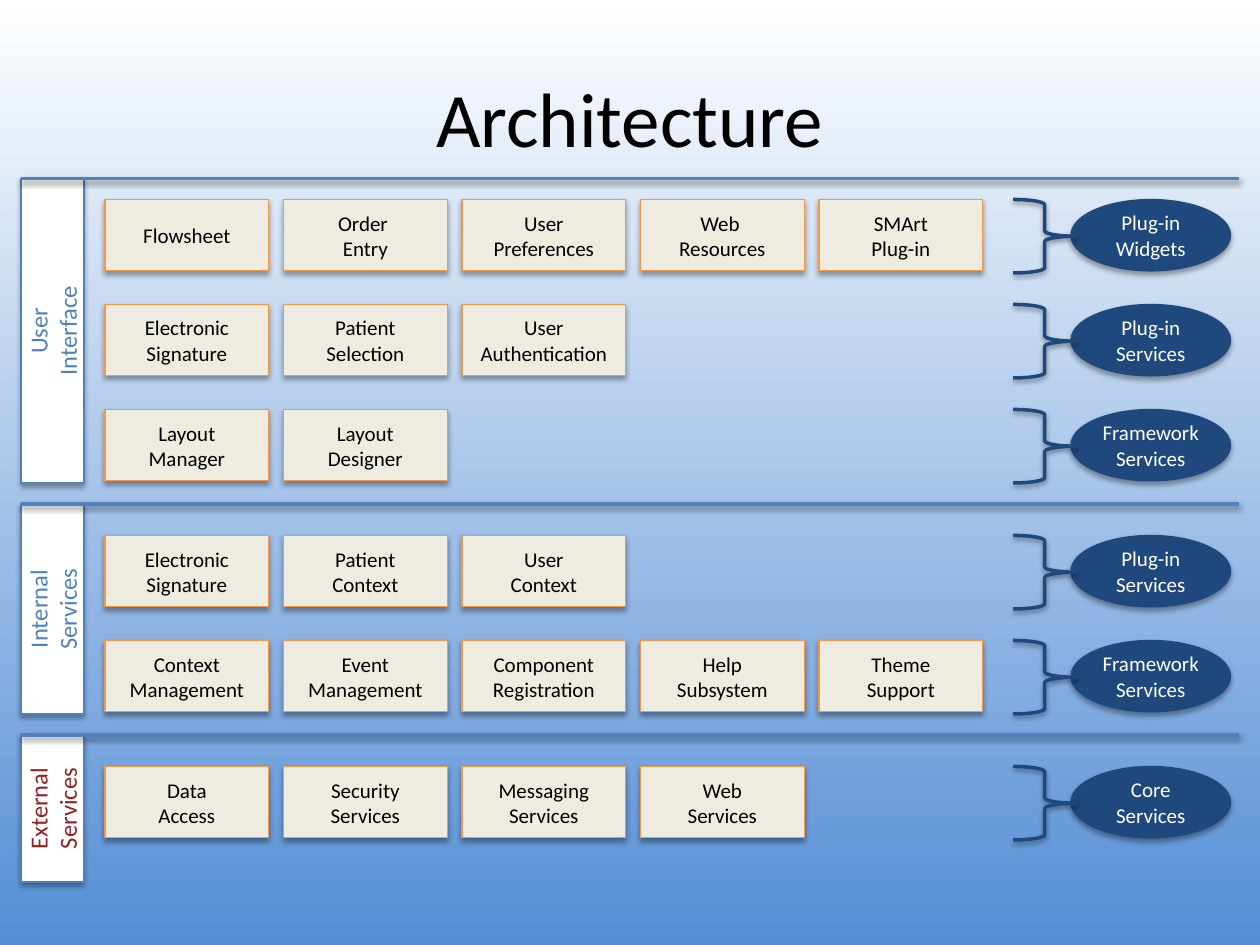
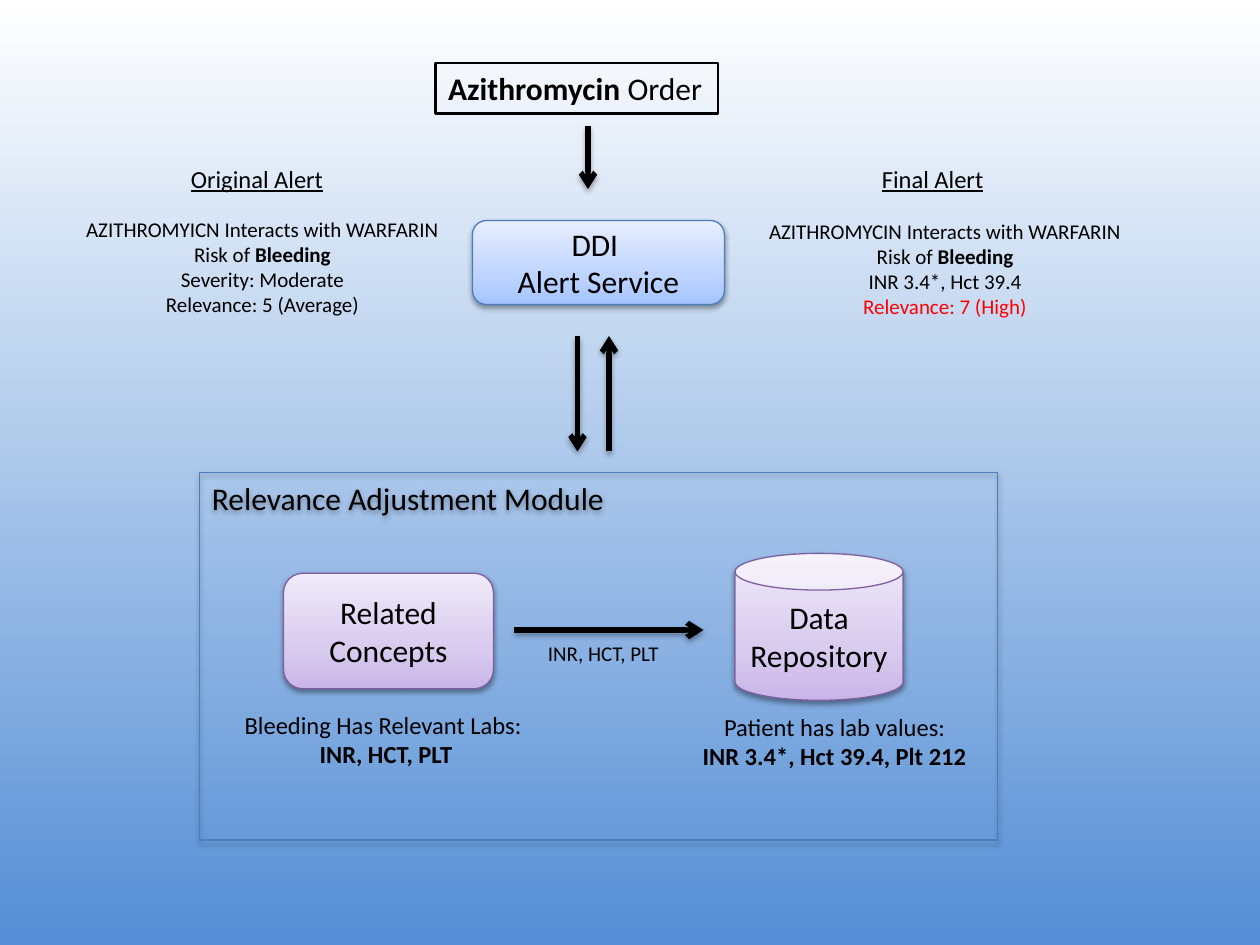
from copy import deepcopy

from lxml import etree
from pptx import Presentation, util as u
from pptx.dml.color import RGBColor
from pptx.enum import shapes, text
from pptx.oxml import ns

WHITE = RGBColor(0xFF, 0xFF, 0xFF)
BLACK = RGBColor(0, 0, 0)
RED = RGBColor(0xFF, 0, 0)
BRICK = RGBColor(0x92, 0x21, 0x22)
SKY = RGBColor(0x55, 0x8E, 0xD5)
BLUE = RGBColor(0x4F, 0x81, 0xBD)
STEEL = RGBColor(0x4B, 0x7E, 0xBC)
NAVY = RGBColor(0x1F, 0x49, 0x7D)
CREAM = RGBColor(0xEE, 0xEC, 0xE1)
ORANGE = RGBColor(0xF7, 0x96, 0x46)
PLUM = RGBColor(0x7D, 0x60, 0xA0)
PAGE = [(0, WHITE), (1, SKY)]
ICE = [(0, RGBColor(0xA4, 0xC4, 0xFF)), (0.35, RGBColor(0xBF, 0xD4, 0xFF)),
       (1, RGBColor(0xE6, 0xEE, 0xFF))]
LILAC = [(0, RGBColor(0xC9, 0xB5, 0xE8)), (0.35, RGBColor(0xD8, 0xCB, 0xEE)),
         (1, RGBColor(0xF0, 0xEA, 0xF9))]

KIND = shapes.MSO_SHAPE
CENTER, LEFT = text.PP_ALIGN.CENTER, text.PP_ALIGN.LEFT
MIDDLE, TOP = text.MSO_ANCHOR.MIDDLE, text.MSO_ANCHOR.TOP
COLS, ROWS = 120, 90
DARK, SOFT = (38, 1.6), (35, 1.8)

BANDS = [
    ("User\nInterface", BLUE, 17, 29, [
        (19, "Plug-in\nWidgets", ["Flowsheet", "Order \nEntry", "User Preferences",
                                  "Web \nResources", "SMArt\nPlug-in"]),
        (29, "Plug-in\nServices", ["Electronic\nSignature", "Patient\nSelection",
                                   "User\nAuthentication"]),
        (39, "Framework\nServices", ["Layout\nManager", "Layout\nDesigner"])]),
    ("Internal\nServices", BLUE, 48, 20, [
        (51, "Plug-in\nServices", ["Electronic\nSignature", "Patient\nContext",
                                   "User\nContext"]),
        (61, "Framework\nServices", ["Context\nManagement", "Event\nManagement",
                                     "Component\nRegistration", "Help\nSubsystem",
                                     "Theme\nSupport"])]),
    ("External\nServices", BRICK, 70, 14, [
        (73, "Core\nServices", ["Data\nAccess", "Security\nServices",
                                "Messaging\nServices", "Web\nServices"])]),
]


class Deck:
    """Draws styled elements on a grid of 120 columns and 90 rows."""

    def __init__(self):
        self.prs = Presentation()
        self.prs.slide_width, self.prs.slide_height = u.Inches(10), u.Inches(7.5)
        self.slide = None

    def grid(self, *vals):
        units = self.prs.slide_width / COLS, self.prs.slide_height / ROWS
        return [round(val * units[i % 2]) for i, val in enumerate(vals)]

    def page(self):
        self.slide = self.prs.slides.add_slide(self.prs.slide_layouts[6])
        self.blend(self.slide.background.fill, self.slide.element, PAGE, 270)

    def blend(self, fill, root, stops, angle):
        fill.gradient()
        fill.gradient_angle = angle
        marks = next(root.iter(ns.qn("a:gsLst")))
        while len(marks) < len(stops):
            marks.append(deepcopy(marks[0]))
        for mark, (share, color) in zip(fill.gradient_stops, stops):
            mark.position, mark.color.rgb = share, color

    def shade(self, item, look):
        effect = etree.SubElement(item.element.spPr, ns.qn("a:effectLst"))
        if look:
            alpha, dist = look
            cast = etree.SubElement(effect, ns.qn("a:outerShdw"), blurRad=str(u.Pt(3.1)),
                                    dist=str(u.Pt(dist)), dir="5400000", rotWithShape="0")
            tone = etree.SubElement(cast, ns.qn("a:srgbClr"), val=str(BLACK))
            etree.SubElement(tone, ns.qn("a:alpha"), val=str(alpha * 1000))

    def label(self, item, words, size, color=BLACK, align=CENTER, anchor=MIDDLE,
              wrap=True, grow=False, line=False):
        frame = item.text_frame
        frame.word_wrap, frame.vertical_anchor = wrap, anchor
        if grow:
            frame.auto_size = text.MSO_AUTO_SIZE.SHAPE_TO_FIT_TEXT
        for i, row in enumerate(words.split("\n")):
            para = frame.add_paragraph() if i else frame.paragraphs[0]
            para.alignment = align
            for j, part in enumerate(row.split("|")):
                if part:
                    run = para.add_run()
                    run.text = part
                    font = run.font
                    font.name, font.size, font.color.rgb = "Calibri", u.Pt(size), color
                    font.bold, font.underline = j % 2 == 1, line

    def shape(self, kind, box, fill, edge, width=0.75, look=SOFT):
        item = self.slide.shapes.add_shape(kind, *self.grid(*box))
        if fill is None:
            item.fill.background()
        elif isinstance(fill, list):
            self.blend(item.fill, item.element, fill, 90)
        else:
            item.fill.solid()
            item.fill.fore_color.rgb = fill
        item.line.color.rgb, item.line.width = edge, u.Pt(width)
        self.shade(item, look)
        return item

    def note(self, box, words, size, **style):
        item = self.slide.shapes.add_textbox(*self.grid(*box))
        self.label(item, words, size, **style)
        return item

    def rule(self, ends, color, width, look, head=False):
        item = self.slide.shapes.add_connector(shapes.MSO_CONNECTOR.STRAIGHT,
                                               *self.grid(*ends))
        item.line.color.rgb, item.line.width = color, u.Pt(width)
        if head:
            edge = next(item.element.iter(ns.qn("a:ln")))
            etree.SubElement(edge, ns.qn("a:tailEnd"), type="arrow")
        self.shade(item, look)

    def side(self, top, high, words, color):
        item = self.shape(KIND.RECTANGLE, (2, top, 6, high), WHITE, BLUE)
        self.label(item, words, 14, color)
        next(item.element.iter(ns.qn("a:bodyPr"))).set("vert", "vert270")
        self.rule((2, top, 118, top), BLUE, 2, DARK)

    def tier(self, top, group, cards):
        for i, words in enumerate(cards):
            card = self.shape(KIND.RECTANGLE, (10 + 17 * i, top, 15.6, 6.8), CREAM, ORANGE)
            self.label(card, words, 12)
        oval = self.shape(KIND.OVAL, (102, top, 15.2, 6.8), NAVY, NAVY)
        self.label(oval, group, 12, WHITE, wrap=False)
        self.shape(KIND.RIGHT_BRACE, (96.5, top, 6, 7), None, NAVY, 2, DARK)

    def node(self, kind, box, fill, edge, words):
        self.label(self.shape(kind, box, fill, edge, look=DARK), words, 18)


def layers(deck):
    """Draws the architecture bands."""
    deck.page()
    deck.note((6, 3.6, 108, 15), "Architecture", 44)
    for words, color, top, high, tiers in BANDS:
        deck.side(top, high, words, color)
        for tier in tiers:
            deck.tier(*tier)


def flow(deck):
    """Draws the alert flow."""
    deck.page()
    deck.node(KIND.ROUNDED_RECTANGLE, (45, 21, 24, 8), ICE, STEEL, "DDI \nAlert Service")
    order = deck.shape(KIND.RECTANGLE, (41.5, 6, 26.9, 4.8), None, BLACK, 1.5, None)
    deck.label(order, "|Azithromycin |Order", 18, align=LEFT, anchor=TOP,
               wrap=False, grow=True)
    deck.node(KIND.ROUNDED_RECTANGLE, (27, 54.6, 20, 11), LILAC, PLUM, "Related Concepts")
    deck.node(KIND.CAN, (70, 52.7, 16, 14), LILAC, PLUM, "Data\nRepository")
    for ends in [(56, 12, 56, 18), (55, 32, 55, 43), (58, 43, 58, 32), (49, 60, 67, 60)]:
        deck.rule(ends, BLACK, 3, SOFT, head=True)

    body = dict(anchor=TOP, grow=True)
    deck.note((7, 20, 36, 10.9), "AZITHROMYICN Interacts with WARFARIN\nRisk of |Bleeding\n"
              "Severity: Moderate\nRelevance: 5 (Average)", 12, **body)
    final = deck.note((70, 20.2, 40, 10.9), "AZITHROMYCIN Interacts with WARFARIN\n"
                      "Risk of |Bleeding\nINR 3.4*, Hct 39.4\nRelevance: 7 (High)",
                      12, **body)
    final.text_frame.paragraphs[-1].runs[0].font.color.rgb = RED
    deck.note((22, 67, 29, 9.7), "Bleeding Has Relevant Labs:\n| INR, HCT, PLT", 14, **body)
    deck.note((65, 67.2, 29, 6.8), "Patient has lab values:\n|INR 3.4*, Hct 39.4, Plt 212",
              14, **body)

    tag = dict(body, align=LEFT, wrap=False)
    deck.note((51, 60.4, 13.1, 3.6), "INR, HCT, PLT", 12, **tag)
    deck.note((17, 15, 15.1, 4.1), "Original Alert", 14, line=True, **tag)
    deck.note((82.8, 15, 12.1, 4.1), "Final Alert", 14, line=True, **tag)
    frame = deck.shape(KIND.RECTANGLE, (19, 45, 76, 35), None, STEEL)
    deck.label(frame, "Relevance Adjustment Module", 18, align=LEFT, anchor=TOP)


def main():
    """Builds both slides and saves them."""
    deck = Deck()
    layers(deck)
    flow(deck)
    deck.prs.save("out.pptx")


if __name__ == "__main__":
    main()
